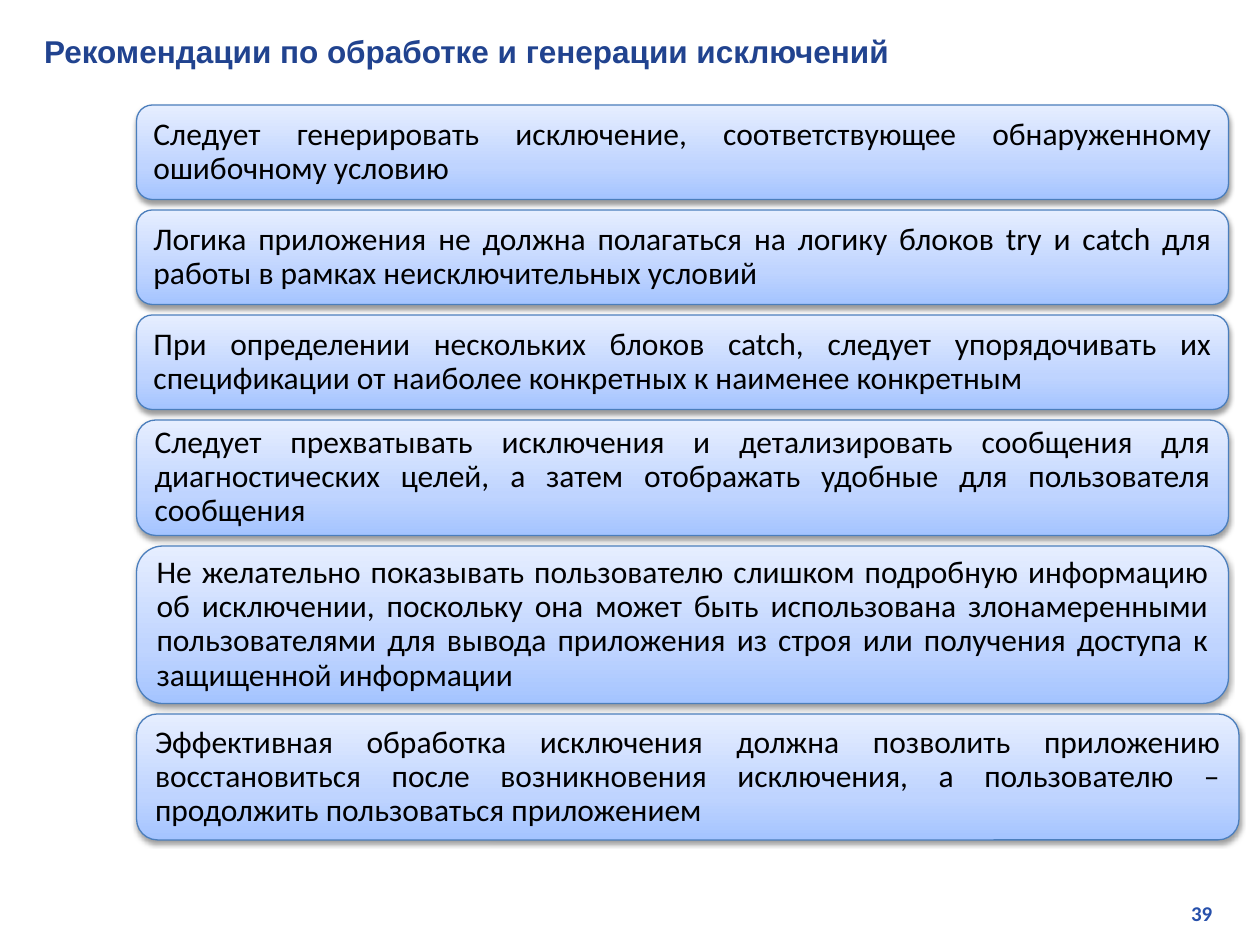
"""Builds a slide of recommendations for handling and raising exceptions."""
from copy import deepcopy
from dataclasses import dataclass

from pptx import Presentation
from pptx.dml.color import RGBColor
from pptx.enum.shapes import MSO_SHAPE
from pptx.enum.text import MSO_ANCHOR, PP_ALIGN
from pptx.oxml import parse_xml
from pptx.oxml.ns import nsdecls, qn
from pptx.util import Inches, Pt

ROUNDED = MSO_SHAPE.ROUNDED_RECTANGLE
MIDDLE = MSO_ANCHOR.MIDDLE
LEFT, RIGHT, JUSTIFY = PP_ALIGN.LEFT, PP_ALIGN.RIGHT, PP_ALIGN.JUSTIFY


@dataclass(frozen=True)
class Theme:
    title_font: str = "Arial"
    body_font: str = "Calibri"
    text_size: int = 18
    number_size: int = 12
    title_color: str = "21438F"
    number_color: str = "2750AB"
    text_color: str = "000000"
    border_color: str = "4B7EBC"
    gradient: tuple = ((0, "A4C4FF"), (0.35, "BFD4FF"), (1, "E6EEFF"))


def write(shape, text, alignment, font_name, size, color, bold=False):
    shape.text_frame.text = text
    shape.text_frame.word_wrap = True
    paragraph = shape.text_frame.paragraphs[0]
    paragraph.alignment = alignment
    font = paragraph.runs[0].font
    font.name, font.size, font.bold = font_name, Pt(size), bold
    font.color.rgb = RGBColor.from_string(color)
    return paragraph


def style_panel(shape):
    shape.fill.gradient()
    stop_list = shape._element.spPr.find(".//" + qn("a:gsLst"))
    stop_list.append(deepcopy(stop_list[-1]))
    for stop, (position, color) in zip(shape.fill.gradient_stops, theme.gradient):
        stop.position = position
        stop.color.rgb = RGBColor.from_string(color)
    shape.fill.gradient_angle = 90
    shape.line.color.rgb = RGBColor.from_string(theme.border_color)
    shape.line.width = Pt(0.75)
    shape.shadow.inherit = False
    shape._element.spPr.find(qn("a:effectLst")).append(parse_xml(
        f'<a:outerShdw {nsdecls("a")} blurRad="{Pt(3.1)}" dist="{Pt(1.6)}" '
        'dir="5400000" rotWithShape="0"><a:srgbClr val="000000">'
        '<a:alpha val="38000"/></a:srgbClr></a:outerShdw>'))


theme = Theme()
presentation = Presentation()
presentation.slide_width, presentation.slide_height = Inches(10), Inches(7.5)
slide = presentation.slides.add_slide(presentation.slide_layouts[5])

title = slide.shapes.title
title.left, title.top = Inches(0.25), Inches(0.2)
title.width, title.height = Inches(9.54), Inches(0.4)
title.text_frame.vertical_anchor = MIDDLE
write(title, "Рекомендации по обработке и генерации исключений", LEFT,
      theme.title_font, theme.text_size, theme.title_color, True)

recommendations = [
    (104, 9, "Следует генерировать исключение, соответствующее обнаруженному "
             "ошибочному условию"),
    (104, 9, "Логика приложения не должна полагаться на логику блоков try и catch "
             "для работы в рамках неисключительных условий"),
    (104, 9, "При определении нескольких блоков catch, следует упорядочивать их "
             "спецификации от наиболее конкретных к наименее конкретным"),
    (104, 11, "Следует прехватывать исключения и детализировать сообщения для "
              "диагностических целей, а затем отображать удобные для пользователя "
              "сообщения"),
    (104, 15, "Не желательно показывать пользователю слишком подробную информацию "
              "об исключении, поскольку она может быть использована "
              "злонамеренными пользователями для вывода приложения из строя или "
              "получения доступа к защищенной информации"),
    (105, 12, "Эффективная обработка исключения должна позволить приложению "
              "восстановиться после возникновения исключения, а пользователю – "
              "продолжить пользоваться приложением"),
]
unit = presentation.slide_width // 120
left_column, row, gap = 13, 10, 1
for columns, rows, text in recommendations:
    panel = slide.shapes.add_shape(ROUNDED, left_column * unit, row * unit,
                                   columns * unit, rows * unit)
    style_panel(panel)
    panel.text_frame.vertical_anchor = MIDDLE
    paragraph = write(panel, text, JUSTIFY, theme.body_font, theme.text_size,
                      theme.text_color)
    paragraph.line_spacing = 0.9
    row += rows + gap

page_number = slide.shapes.add_textbox(Inches(7.6), Inches(7.1),
                                       Inches(2.12), Inches(0.3))
write(page_number, "39", RIGHT, theme.body_font, theme.number_size,
      theme.number_color, True)

presentation.save("out.pptx")
